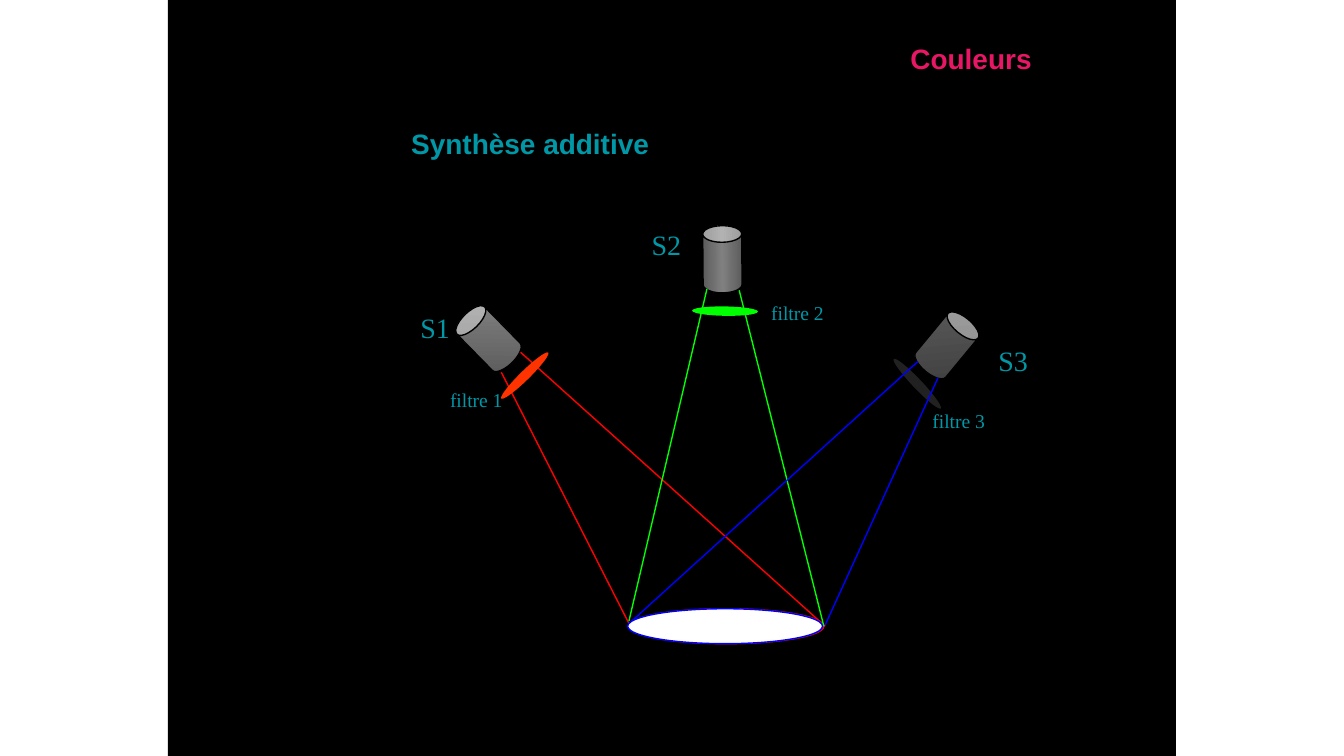
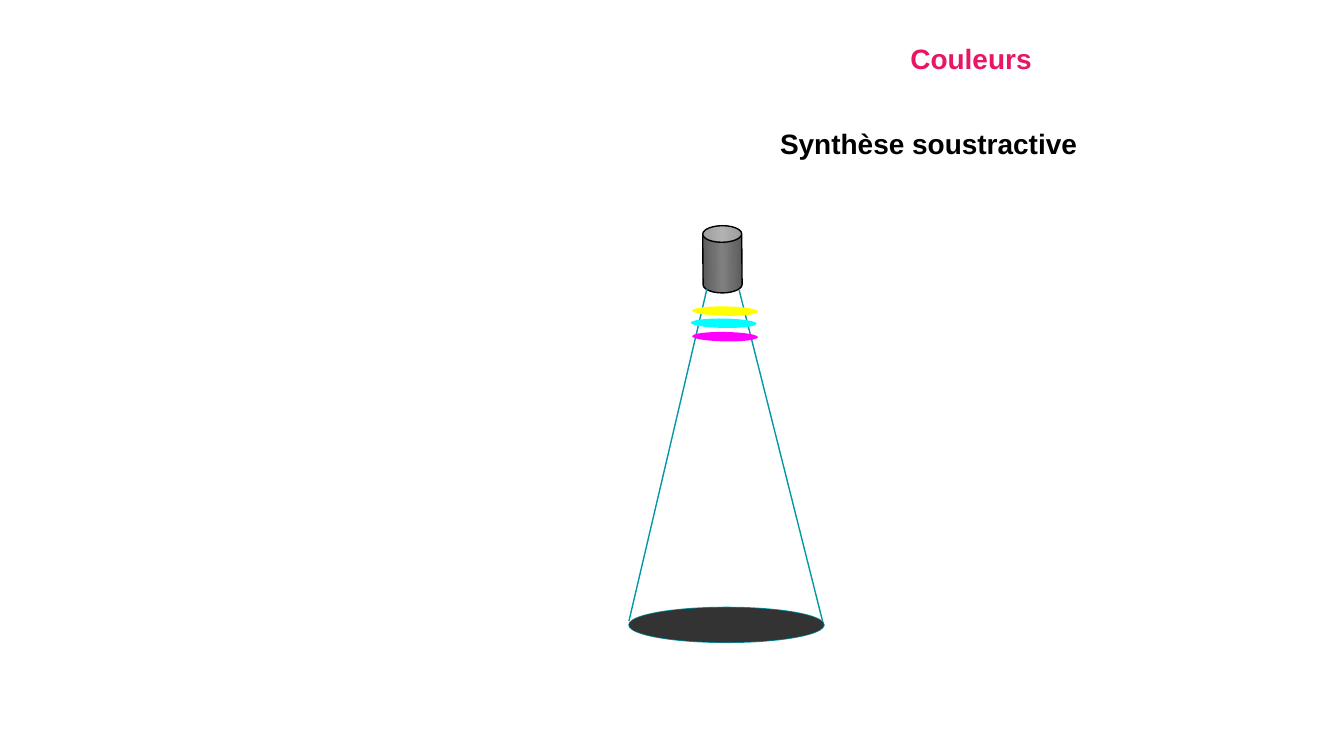
from pptx import Presentation
from pptx.dml.color import RGBColor
from pptx.enum.shapes import MSO_CONNECTOR as Link, MSO_SHAPE as Shape
from pptx.enum.text import PP_ALIGN as Align
from pptx.oxml import parse_xml
from pptx.oxml.ns import nsdecls, qn
from pptx.util import Inches, Pt

HUES = {
    "black": "000000", "white": "FFFFFF", "pink": "E81766", "teal": "0097A7",
    "red": "FF0000", "orange": "FF3300", "green": "00FF00", "blue": "0000FF",
    "yellow": "FFFF00", "cyan": "00FFFF", "magenta": "FF00FF",
    "soot": "212121", "coal": "333333", "dark": "404040", "slate": "595959",
    "iron": "5C5C5C", "steel": "808080",
}
SANS, SERIF = "Arial", "Times New Roman"
WIDE = 10
HIGH = WIDE * 9 / 16
LAMP, SPOT = (0.29, 0.5), (1.45, 0.26)

# Each part: kind, then the arguments of the function that draws it.
TOP_LAMP = ("lamp", 5.23, 1.68, 359.5, ("iron", "steel", "iron"), 0)
TOP_ENDS = (((5.26, 2.15), (4.68, 4.62)), ((5.5, 2.16), (6.13, 4.66)))
RED_ENDS = (((3.85, 2.6), (6.14, 4.66)), ((3.73, 2.77), (4.68, 4.64)))
BLUE_ENDS = (((6.83, 2.69), (4.68, 4.64)), ((6.98, 2.81), (6.14, 4.65)))

SLIDES = [
    {
        "head": ("Synthèse additive", 2.9, 2.09, "teal"),
        "panel": (1.25, 0, 7.5, HIGH),
        "parts": [
            ("beams", RED_ENDS, "red"),
            ("spot", 4.68, 4.53, "orange", "red"),
            ("lamp", 3.49, 2.27, 315.6, ("iron", "steel"), 315),
            ("lens", 3.87, 2.55, 45.6, "orange"),
            ("name", "S1", 3.03, 2.26, 0.44),
            ("note", "filtre 1", 3.25, 2.84, 0.61),
            TOP_LAMP,
            ("note", "filtre 2", 5.64, 2.19),
            ("lens", 5.36, 2.07, 270.9, "green"),
            ("name", "S2", 4.75, 1.64),
            ("beams", TOP_ENDS, "green"),
            ("lamp", 6.9, 2.32, 39.6, ("slate", "dark"), 45),
            ("lens", 6.79, 2.6, 316.5, "soot", 0.51),
            ("name", "S3", 7.33, 2.51),
            ("note", "filtre 3", 6.84, 2.99),
            ("beams", BLUE_ENDS, "blue"),
            ("spot", 4.67, 4.53, "white", "blue"),
        ],
    },
    {
        "head": ("Synthèse soustractive", 5.58, 2.66, "black"),
        "panel": None,
        "parts": [
            TOP_LAMP,
            ("beams", TOP_ENDS, "teal"),
            ("spot", 4.68, 4.52, "white", "teal"),
            ("lens", 5.36, 2.07, 270.9, "yellow"),
            ("lens", 5.35, 2.16, 270.9, "cyan"),
            ("lens", 5.36, 2.26, 270.9, "magenta"),
            ("spot", 4.68, 4.52, "coal"),
        ],
    },
]


def rgb(hue):
    return RGBColor.from_string(HUES[hue])


def edge(line, hue):
    line.color.rgb = rgb(hue)
    line.width = Pt(0.75)


def form(slide, kind, box, fill=None, line=None, turn=0):
    item = slide.shapes.add_shape(kind, *map(Inches, box))
    item.shadow.inherit = False
    item.rotation = turn
    if fill:
        item.fill.solid()
        item.fill.fore_color.rgb = rgb(fill)
    if line:
        edge(item.line, line)
    else:
        item.line.fill.background()
    return item


def text(slide, words, box, size, hue, face=SERIF, bold=False, align=Align.LEFT):
    frame = slide.shapes.add_textbox(*map(Inches, box)).text_frame
    frame.word_wrap = False
    para = frame.paragraphs[0]
    para.text = words
    para.alignment = align
    font = para.font
    font.name, font.size, font.bold = face, Pt(size), bold
    font.color.rgb = rgb(hue)


def title(slide, words, box, hue):
    text(slide, words, box, 15, hue, SANS, True, Align.CENTER)


def lamp(slide, x, y, turn, tones, angle):
    """Draw a can shaded evenly through the tones."""
    can = form(slide, Shape.CAN, (x, y, *LAMP), line="black", turn=turn)
    can.adjustments[0] = 0.426
    can.fill.gradient()
    can.fill.gradient_angle = (360 - angle) % 360
    stops = can._element.spPr.find(qn("a:gradFill")).find(qn("a:gsLst"))
    for stop in list(stops):
        stops.remove(stop)
    for i, tone in enumerate(tones):
        place = 100000 * i // (len(tones) - 1)
        stops.append(parse_xml(
            f'<a:gs {nsdecls("a")} pos="{place}"><a:srgbClr val="{HUES[tone]}"/></a:gs>'))


def lens(slide, x, y, turn, hue, high=0.49):
    form(slide, Shape.OVAL, (x, y, 0.07, high), hue, turn=turn)


def spot(slide, x, y, hue, line=None):
    form(slide, Shape.OVAL, (x, y, *SPOT), hue, line)


def beams(slide, ends, hue):
    for start, end in ends:
        ray = slide.shapes.add_connector(Link.STRAIGHT, *map(Inches, start + end))
        edge(ray.line, hue)
        ray._element.spPr.append(parse_xml(f'<a:effectLst {nsdecls("a")}/>'))


def name(slide, words, x, y, wide=0.42):
    text(slide, words, (x, y, wide, 0.35), 15, "teal")


def note(slide, words, x, y, wide=0.6):
    text(slide, words, (x, y, wide, 0.28), 10.5, "teal")


DRAW = {"lamp": lamp, "lens": lens, "spot": spot, "beams": beams,
        "name": name, "note": note}


def main():
    deck = Presentation()
    deck.slide_width, deck.slide_height = Inches(WIDE), Inches(HIGH)
    for page in SLIDES:
        slide = deck.slides.add_slide(deck.slide_layouts[6])
        if page["panel"]:
            form(slide, Shape.RECTANGLE, page["panel"], "black")
        title(slide, "Couleurs", (6.14, 0.26, 2.17, 0.25), "pink")
        words, x, width, hue = page["head"]
        title(slide, words, (x, 0.89, width, 0.35), hue)
        for kind, *args in page["parts"]:
            DRAW[kind](slide, *args)
    deck.save("out.pptx")


if __name__ == "__main__":
    main()
